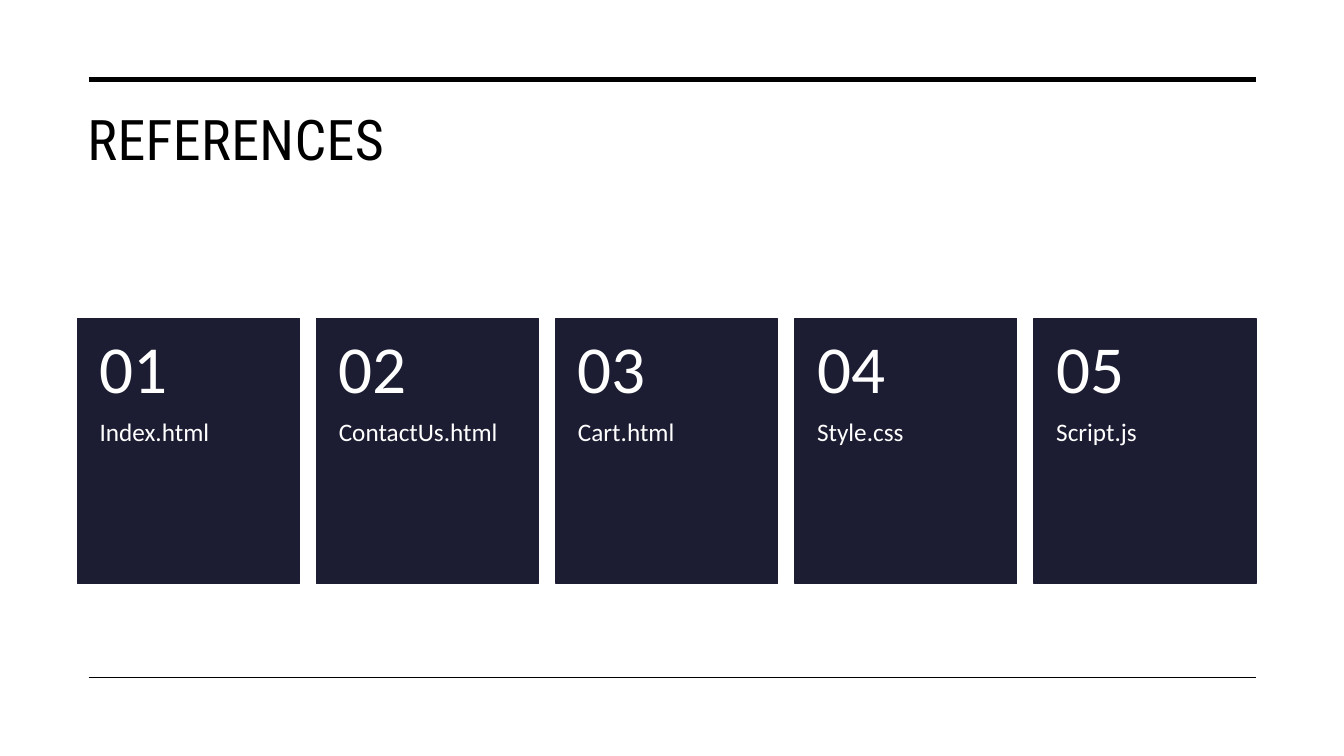
from lxml import etree
from pptx import Presentation
from pptx.dml.color import RGBColor
from pptx.enum.shapes import MSO_CONNECTOR as Connector, MSO_SHAPE as Shape
from pptx.enum.text import MSO_ANCHOR as Anchor
from pptx.oxml.ns import qn
from pptx.util import Pt

BLACK, WHITE, NAVY = "000000", "FFFFFF", "1C1C32"
FILES = ["Index.html", "ContactUs.html", "Cart.html", "Style.css", "Script.js"]


def color(hex_code):
    return RGBColor.from_string(hex_code)


def add_rule(slide, left, right, y, weight):
    rule = slide.shapes.add_connector(
        Connector.STRAIGHT, Pt(left), Pt(y), Pt(right), Pt(y))
    rule.line.color.rgb = color(BLACK)
    rule.line.width = Pt(weight)
    etree.SubElement(rule._element.spPr, qn("a:effectLst"))


def add_text(shapes, box, text, font, size, ink, margins,
             anchor=Anchor.TOP, spacing=None):
    """Place one line of text; margins run left, top, right, bottom."""
    frame = shapes.add_textbox(*map(Pt, box)).text_frame
    frame.word_wrap = True
    frame.vertical_anchor = anchor
    (frame.margin_left, frame.margin_top,
     frame.margin_right, frame.margin_bottom) = map(Pt, margins)
    paragraph = frame.paragraphs[0]
    paragraph.line_spacing = spacing
    run = paragraph.add_run()
    run.text = text
    run.font.name = font
    run.font.size = Pt(size)
    run.font.color.rgb = color(ink)
    return run


def add_title(slide, left, top, width, height):
    title = add_text(slide.shapes, (left, top, width, height), "REFERENCES",
                     "Roboto Condensed", 40, BLACK, (7.2, 3.6, 7.2, 3.6))
    title.font._element.set("spc", "30")


def add_card(shapes, left, top, width, height, number, file_name):
    card = shapes.add_shape(
        Shape.RECTANGLE, Pt(left), Pt(top), Pt(width), Pt(height))
    card.shadow.inherit = False
    card.fill.solid()
    card.fill.fore_color.rgb = color(NAVY)
    card.line.color.rgb = color(NAVY)
    card.line.width = Pt(1)

    head = height * 0.4
    add_text(shapes, (left, top + head, width, height - head), file_name,
             "Calibri", 18, WHITE, (15.8, 0, 15.8, 26), spacing=0.9)
    add_text(shapes, (left, top, width, head), f"{number:02}",
             "Calibri", 48, WHITE, (15.8, 13, 15.8, 13), Anchor.MIDDLE, 0.9)


def add_cards(slide, left, top, width, height, gap):
    cards = slide.shapes.add_group_shape().shapes
    card_width = (width - gap * (len(FILES) - 1)) / len(FILES)
    for index, file_name in enumerate(FILES):
        add_card(cards, left + index * (card_width + gap), top,
                 card_width, height, index + 1, file_name)


def main():
    deck = Presentation()
    deck.slide_width, deck.slide_height = Pt(960), Pt(540)
    slide = deck.slides.add_slide(deck.slide_layouts[6])
    add_title(slide, 55.4, 71.3, 841.7, 90.7)
    add_rule(slide, 63.4, 897.1, 56.9, 3.5)
    add_rule(slide, 63.4, 897.1, 483.8, 1)
    add_cards(slide, 55.4, 227.5, 841.7, 189.4, 12.4)
    deck.save("out.pptx")


if __name__ == "__main__":
    main()
